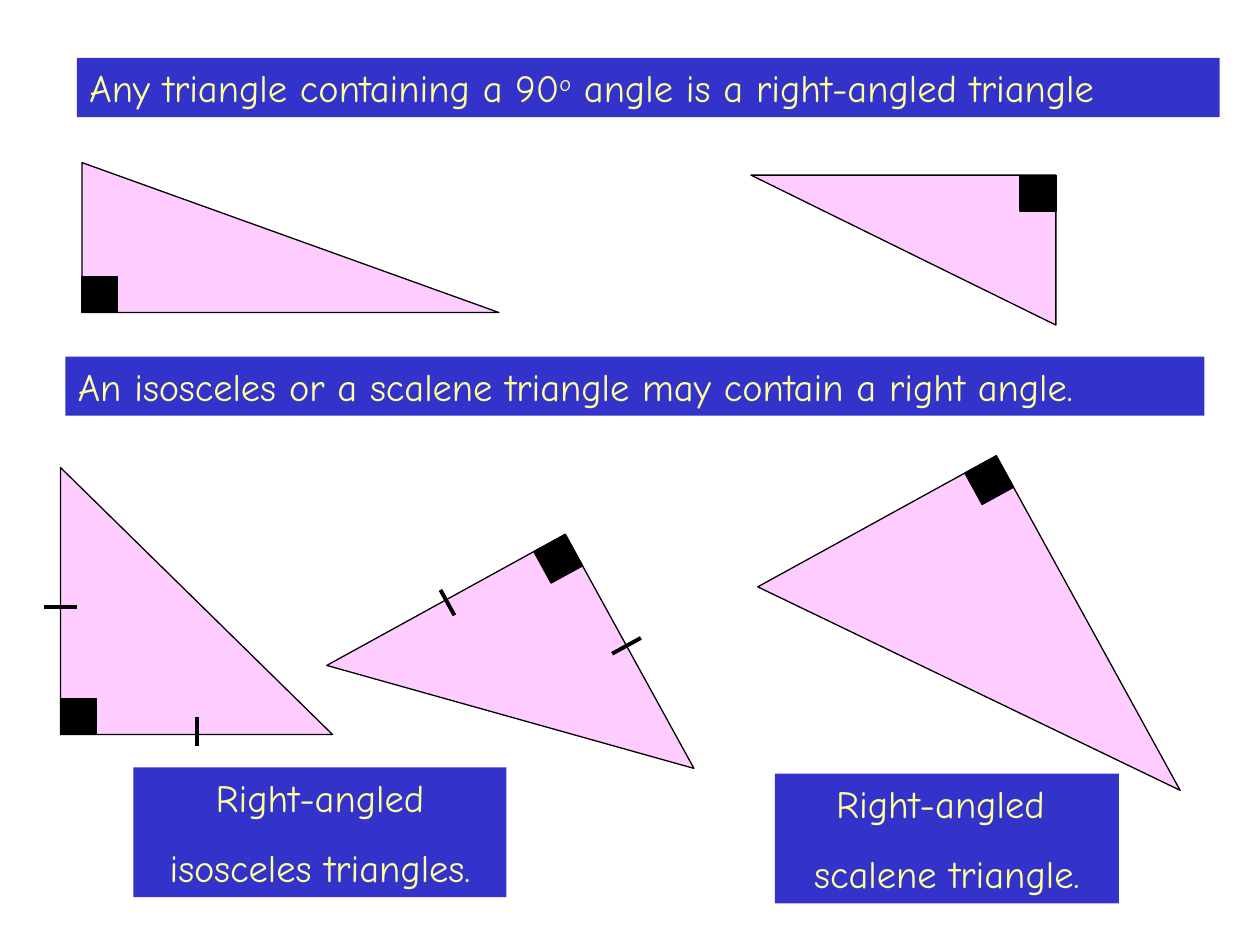
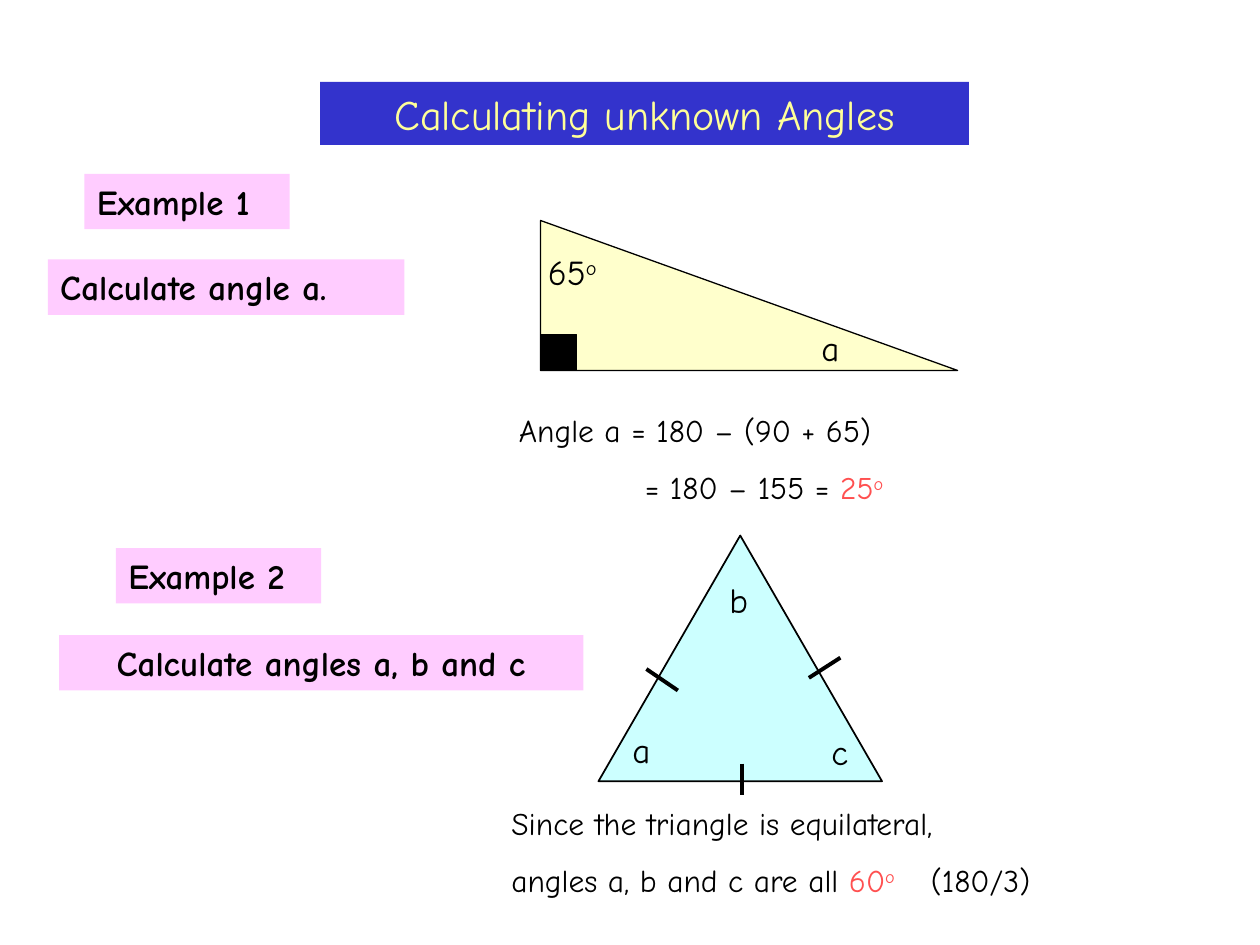
import math
from dataclasses import dataclass

from lxml import etree
from pptx import Presentation
from pptx import util as u
from pptx.dml.color import RGBColor
from pptx.enum import shapes, text
from pptx.oxml.ns import qn

COLORS = {
    "band": "3333CC", "band_text": "FFFF99", "pink": "FFCCFF", "cream": "FFFFCC",
    "aqua": "CCFFFF", "ink": "000000", "answer": "FF5050",
}
FONT = "Comic Neue"
WIDTH, HEIGHT = u.Inches(10), u.Inches(7.5)
# The grid has 100 columns and 75 rows, so its cells are square
COLUMN, ROW = WIDTH / 100, HEIGHT / 75
CORNER = 2.85  # side of the right-angle mark
LEFT, CENTER = text.PP_ALIGN.LEFT, text.PP_ALIGN.CENTER
SHAPE = shapes.MSO_SHAPE


@dataclass
class Box:
    """A region in grid columns and rows."""
    left: float
    top: float
    width: float
    height: float

    def inner(self, left, top, width, height):
        return Box(self.left + left, self.top + top, width, height)

    def emu(self):
        return (round(self.left * COLUMN), round(self.top * ROW),
                round(self.width * COLUMN), round(self.height * ROW))


@dataclass
class Span:
    words: str
    color: str = ""
    raised: bool = False


def rgb(name):
    return RGBColor.from_string(COLORS[name])


# ---- Shared parts ----
def write(shape, paragraphs, size, color="ink", align=LEFT, bold=False,
          indent=0, tab=0):
    """Fill a shape; indent and tab (in columns) apply to its last paragraph."""
    frame = shape.text_frame
    frame.word_wrap = True
    frame.auto_size = text.MSO_AUTO_SIZE.NONE
    frame.vertical_anchor = text.MSO_ANCHOR.TOP
    for index, spans in enumerate(paragraphs):
        para = frame.add_paragraph() if index else frame.paragraphs[0]
        para.alignment = align
        para.space_before = u.Pt(size * 0.625 if index else 0)
        last = index == len(paragraphs) - 1
        if last and indent:
            para._p.get_or_add_pPr().set("marL", str(round(indent * COLUMN)))
        if last and tab:
            stops = etree.SubElement(para._p.get_or_add_pPr(), qn("a:tabLst"))
            etree.SubElement(stops, qn("a:tab"), pos=str(round(tab * COLUMN)), algn="l")
        for span in spans:
            run = para.add_run()
            run.text = span.words
            run.font.name, run.font.size, run.font.bold = FONT, u.Pt(size), bold
            run.font.color.rgb = rgb(span.color or color)
            if span.raised:
                run.font._element.set("baseline", "30000")


def figure(page, kind, box, fill, line=0.75, rotation=0):
    shape = page.shapes.add_shape(kind, *box.emu())
    shape.shadow.inherit = False
    shape.fill.solid()
    shape.fill.fore_color.rgb = rgb(fill)
    if line:
        shape.line.color.rgb = rgb("ink")
        shape.line.width = u.Pt(line)
    else:
        shape.line.fill.background()
    shape.rotation = rotation
    return shape


def title(page, box, spans, size=22, align=LEFT):
    shape = page.shapes.title
    shape.left, shape.top, shape.width, shape.height = box.emu()
    shape.fill.solid()
    shape.fill.fore_color.rgb = rgb("band")
    write(shape, [spans], size, "band_text", align)


def band(page, box, lines, align=CENTER):
    shape = figure(page, SHAPE.RECTANGLE, box, "band", line=0)
    write(shape, [[Span(line)] for line in lines], 22, "band_text", align)


def heading(page, box, words, align=LEFT):
    shape = figure(page, SHAPE.RECTANGLE, box, "pink", line=0)
    write(shape, [[Span(words)]], 20, align=align, bold=True)


def label(page, box, paragraphs, size=20, **layout):
    write(page.shapes.add_textbox(*box.emu()), paragraphs, size, **layout)


def tick(page, x1, y1, x2, y2):
    line = page.shapes.add_connector(
        shapes.MSO_CONNECTOR.STRAIGHT, round(x1 * COLUMN), round(y1 * ROW),
        round(x2 * COLUMN), round(y2 * ROW))
    line.line.color.rgb = rgb("ink")
    line.line.width = u.Pt(2.25)
    etree.SubElement(line._element.spPr, qn("a:effectLst"))


def right_triangle(page, box, fill="pink", rotation=0, equal_legs=False):
    """Draw a right-angled triangle, its corner mark and any equal-side ticks."""
    figure(page, SHAPE.RIGHT_TRIANGLE, box, fill, rotation=rotation)
    cosine, sine = math.cos(math.radians(rotation)), math.sin(math.radians(rotation))
    half_width, half_height = box.width / 2, box.height / 2

    def turned(x, y):
        return (box.left + half_width + x * cosine - y * sine,
                box.top + half_height + x * sine + y * cosine)

    x, y = turned(CORNER / 2 - half_width, half_height - CORNER / 2)
    mark = Box(x - CORNER / 2, y - CORNER / 2, CORNER, CORNER)
    figure(page, SHAPE.RECTANGLE, mark, "ink", rotation=rotation)
    if equal_legs:
        tick(page, *turned(-half_width - 1.3, 0.5), *turned(-half_width + 1.3, 0.5))
        tick(page, *turned(0, half_height - 1.4), *turned(0, half_height + 0.9))


# ---- Slide 1: kinds of right-angled triangle ----
def any_right_angle(page, box):
    title(page, box.inner(0, 0, 90.7, 4.7),
          [Span("Any triangle containing a 90"), Span("o", raised=True),
           Span(" angle is a right-angled triangle")])
    right_triangle(page, box.inner(0.4, 8.3, 33.1, 11.9))
    right_triangle(page, box.inner(53.5, 9.3, 24.2, 11.9), rotation=180)


def isosceles_examples(page, box):
    for left, top, rotation in ((24.9, 9.2, 151.2), (0, 0, 0)):
        right_triangle(page, box.inner(left, top, 21.6, 21.2),
                       rotation=rotation, equal_legs=True)
    band(page, box.inner(5.8, 23.8, 29.6, 10.3),
         ["Right-angled", "isosceles triangles."])


def scalene_example(page, box):
    right_triangle(page, box.inner(4.6, 0, 21.6, 30.3), rotation=151.2)
    band(page, box.inner(0, 21.9, 27.3, 10.3), ["Right-angled ", "scalene triangle."])


def kinds_slide(page):
    any_right_angle(page, Box(6.1, 4.6, 90.7, 21.2))
    band(page, Box(5.2, 28.3, 90.4, 4.7),
         ["An isosceles or a scalene triangle may contain a right angle."], LEFT)
    isosceles_examples(page, Box(4.8, 37.1, 46.5, 34.1))
    scalene_example(page, Box(61.5, 39.5, 27.3, 32.2))


# ---- Slide 2: two worked examples ----
def right_angle_example(page, box):
    heading(page, box.inner(2.9, 0, 16.3, 4.4), "Example 1")
    heading(page, box.inner(0, 6.8, 28.3, 4.4), "Calculate angle a.")
    right_triangle(page, box.inner(39.1, 3.7, 33.1, 11.9), "cream")
    label(page, box.inner(60.4, 11.6, 3.8, 4.4), [[Span("a")]])
    label(page, box.inner(38.7, 5.6, 9.4, 4.4), [[Span("65"), Span("o", raised=True)]])
    label(page, box.inner(36.4, 18.3, 33.2, 8.6),
          [[Span("Angle a = 180 – (90 + 65)")],
           [Span("= 180 – 155 = "), Span("25", "answer"), Span("o", "answer", True)]],
          size=18, indent=10)


def equilateral_triangle(page, box):
    figure(page, SHAPE.ISOSCELES_TRIANGLE, box, "aqua", line=1)
    for name, left, top in (("a", 1.7, 14.8), ("b", 9.4, 2.9), ("c", 17.5, 15)):
        label(page, box.inner(left, top, 3.8, 4.4), [[Span(name)]])
    for x1, y1, x2, y2 in ((19.2, 9.7, 16.7, 11.3), (11.4, 18.1, 11.4, 20.6),
                           (3.8, 10.6, 6.3, 12.3)):
        tick(page, box.left + x1, box.top + y1, box.left + x2, box.top + y2)


def equilateral_example(page, box):
    heading(page, box.inner(4.5, 1, 16.3, 4.4), "Example 2")
    heading(page, box.inner(0, 7.9, 41.6, 4.4), "Calculate angles a, b and c", CENTER)
    equilateral_triangle(page, box.inner(42.8, 0, 22.5, 19.5))
    label(page, box.inner(34.9, 20.8, 48.1, 8.6),
          [[Span("Since the triangle is equilateral,")],
           [Span("angles a, b and c are all "), Span("60", "answer"),
            Span("o", "answer", True), Span("\t(180/3)")]],
          size=18, tab=33.3)


def angles_slide(page):
    title(page, Box(25.4, 6.5, 51.5, 5), [Span("Calculating unknown Angles")], 24, CENTER)
    right_angle_example(page, Box(3.8, 13.8, 72.2, 26.9))
    equilateral_example(page, Box(4.7, 42.5, 83, 29.4))


def main():
    deck = Presentation()
    deck.slide_width, deck.slide_height = WIDTH, HEIGHT
    title_only = deck.slide_layouts[5]
    for build in (kinds_slide, angles_slide):
        build(deck.slides.add_slide(title_only))
    deck.save("out.pptx")


if __name__ == "__main__":
    main()
